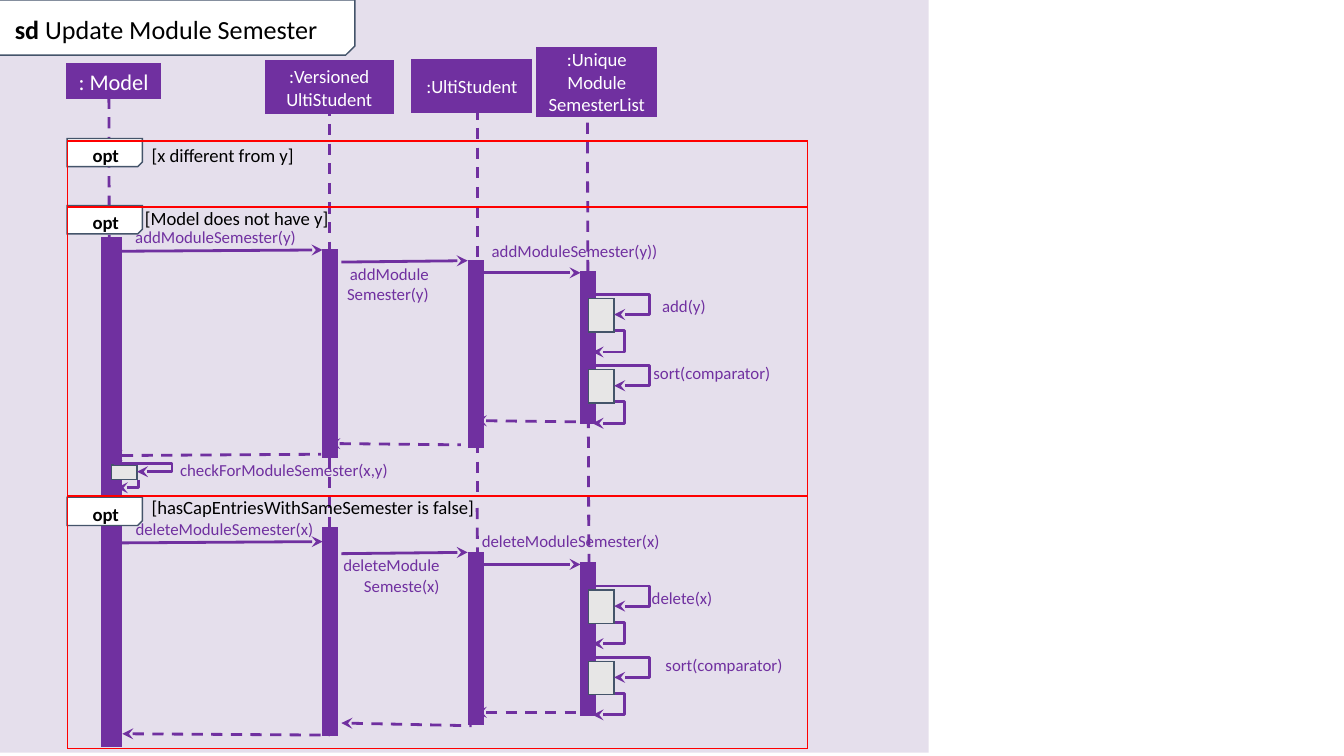
from dataclasses import dataclass

from lxml import etree
from pptx import Presentation
from pptx.dml.color import RGBColor
from pptx.enum.dml import MSO_LINE
from pptx.enum.shapes import MSO_CONNECTOR, MSO_SHAPE
from pptx.enum.text import MSO_ANCHOR, MSO_AUTO_SIZE, PP_ALIGN
from pptx.oxml.ns import qn
from pptx.util import Inches, Pt

RECT, SNIP = MSO_SHAPE.RECTANGLE, MSO_SHAPE.SNIP_1_RECTANGLE
STRAIGHT, ELBOW = MSO_CONNECTOR.STRAIGHT, MSO_CONNECTOR.ELBOW
DASH, NO_FIT = MSO_LINE.DASH, MSO_AUTO_SIZE.NONE
LEFT, CENTER, RIGHT = PP_ALIGN.LEFT, PP_ALIGN.CENTER, PP_ALIGN.RIGHT
TOP, MIDDLE = MSO_ANCHOR.TOP, MSO_ANCHOR.MIDDLE


@dataclass(frozen=True)
class Theme:
    font: str = "Calibri"
    purple: str = "7030A0"
    lilac: str = "E5DFEC"
    grey: str = "E7E6E6"
    slate: str = "44546A"
    red: str = "FF0000"
    white: str = "FFFFFF"
    black: str = "000000"
    title: int = 14
    model: int = 12
    body: int = 10
    label: int = 9
    thin: float = 0.75
    thick: float = 1.5


def write(tf, text, size, color, font, bold_lead="", bold=False, align=LEFT,
          anchor=TOP, margins=(0, 0)):
    """Fill a text frame: \\n starts a paragraph, \\v breaks a line."""
    tf.word_wrap, tf.auto_size, tf.vertical_anchor = True, NO_FIT, anchor
    tf.margin_left = tf.margin_right = Inches(margins[0])
    tf.margin_top = tf.margin_bottom = Inches(margins[1])
    for i, para in enumerate(text.split("\n")):
        p = tf.add_paragraph() if i else tf.paragraphs[0]
        p.alignment = align
        runs = [(line, bold) for line in para.split("\v")]
        if bold_lead and not i:
            runs.insert(0, (bold_lead, True))
        for j, (part, heavy) in enumerate(runs):
            if j and not bold_lead:
                p.add_line_break()
            r = p.add_run()
            r.text = part
            r.font.name, r.font.size, r.font.bold = font, Pt(size), heavy
            r.font.color.rgb = RGBColor.from_string(color)


class SequenceDiagram:
    def __init__(self, slide, theme):
        self.s, self.t = slide, theme

    def box(self, x, y, w, h, fill=None, line=None, width=None, kind=RECT):
        sp = self.s.shapes.add_shape(kind, *map(Inches, (x, y, w, h)))
        sp.shadow.inherit = False
        if fill:
            sp.fill.solid()
            sp.fill.fore_color.rgb = RGBColor.from_string(fill)
        else:
            sp.fill.background()
        if line:
            sp.line.color.rgb = RGBColor.from_string(line)
            sp.line.width = Pt(width or self.t.thin)
            ln = sp._element.spPr.find(qn("a:ln"))
            etree.SubElement(ln, qn("a:miter"), lim="800000")
        else:
            sp.line.fill.background()
        return sp

    def title(self, lead, rest):
        sp, t = self.s.shapes.title, self.t
        sp.left, sp.top, sp.width, sp.height = map(Inches, (0.01, 0, 2.63, 0.33))
        write(sp.text_frame, rest, t.title, t.black, t.font, bold_lead=lead,
              margins=(0.1, 0.1))
        # Bring the title in front of its tag
        sp._element.getparent().append(sp._element)

    def text(self, text, x, y, w, h, **fmt):
        sp = self.s.shapes.add_textbox(*map(Inches, (x, y, w, h)))
        write(sp.text_frame, text, font=self.t.font, **fmt)

    def label(self, text, x, y, w, align=RIGHT):
        self.text(text, x, y, w, 0.15, size=self.t.label, color=self.t.purple,
                  align=align)

    def guard(self, text, x, y, w, h=0.33, bold=False):
        self.text(text, x, y, w, h, size=self.t.body, color=self.t.black,
                  bold=bold, margins=(0.1, 0.1))

    def head(self, text, x, y, w, h, size):
        sp = self.box(x, y, w, h, self.t.purple, self.t.purple, self.t.thick)
        write(sp.text_frame, text, size, self.t.white, self.t.font, align=CENTER,
              anchor=MIDDLE, margins=(0.07, 0.04))

    def bar(self, x, y, h, w=0.11):
        self.box(x, y, w, h, self.t.purple, self.t.purple)

    def tag(self, x, y, w, h):
        """Frame tag with its lower right corner cut."""
        sp = self.box(x, y, w, h, self.t.white, self.t.slate, kind=SNIP)
        sp.rotation = 180
        sp._element.spPr.get_or_add_xfrm().set("flipH", "1")

    def opt(self, y):
        self.tag(0.5, y, 0.56, 0.21)
        self.guard("opt", 0.59, y - 0.06, 0.48, bold=True)

    def line(self, x1, y1, x2, y2, dash=False, arrow=None, turn=None):
        """Straight line, or an elbow whose upright runs at x = turn."""
        kind = STRAIGHT if turn is None else ELBOW
        c = self.s.shapes.add_connector(kind, *map(Inches, (x1, y1, x2, y2)))
        c.line.color.rgb = RGBColor.from_string(self.t.purple)
        c.line.width = Pt(self.t.thick)
        if dash:
            c.line.dash_style = DASH
        sp_pr = c._element.spPr
        if arrow:
            etree.SubElement(sp_pr.find(qn("a:ln")), qn(f"a:{arrow}End"), type="stealth")
        if turn is not None:
            adj = round((turn - x1) / (x2 - x1) * 100000)
            av_lst = sp_pr.find(qn("a:prstGeom")).find(qn("a:avLst"))
            etree.SubElement(av_lst, qn("a:gd"), name="adj1", fmla=f"val {adj}")
        etree.SubElement(sp_pr, qn("a:effectLst"))

    def self_call(self, y):
        self.box(4.38, y, 0.19, 0.25, self.t.grey, self.t.slate)
        self.line(4.43, y - 0.03, 4.57, y + 0.12, arrow="tail", turn=4.83)
        self.line(4.58, y + 0.24, 4.41, y + 0.4, arrow="tail", turn=4.65)

    def call_chain(self, dy, bars, returns):
        """Nested calls across the four lifelines, moved down by dy."""
        for x, y, h in bars:
            self.bar(x, y, h)
        for x1, y1, x2, y2 in ((0.87, 1.87, 2.4, 1.86), (2.54, 1.95, 3.48, 1.94),
                               (3.53, 2.03, 4.32, 2.03)):
            self.line(x1, y1 + dy, x2, y2 + dy, arrow="tail")
        for ends in returns:
            self.line(*ends, dash=True, arrow="head")
        for y in (2.22, 2.75):
            self.self_call(y + dy)


def main():
    prs = Presentation()
    prs.slide_width = Inches(10)
    prs.slide_height = prs.slide_width * 9 // 16
    t = Theme()
    d = SequenceDiagram(prs.slides.add_slide(prs.slide_layouts[5]), t)

    # Panel and title tag
    d.box(-0.01, -0.02, 6.92, 5.62, t.lilac)
    d.tag(-0.01, 0, 2.65, 0.41)
    d.title("sd", " Update Module Semester")

    # Lifelines and their heads
    for ends in ((0.81, 0.58, 0.82, 4.72), (2.45, 0.63, 2.45, 4.93),
                 (3.55, 0.66, 3.55, 3.67), (3.55, 3.78, 3.56, 4.98),
                 (4.37, 0.62, 4.38, 3.87), (4.38, 3.83, 4.39, 5.03)):
        d.line(*ends, dash=True)
    d.head(": Model", 0.5, 0.48, 0.69, 0.25, t.model)
    d.head(":Versioned\nUltiStudent", 1.98, 0.46, 0.94, 0.38, t.body)
    d.head(":UltiStudent", 3.07, 0.45, 0.88, 0.38, t.body)
    d.head(":Unique\nModule\nSemesterList", 4, 0.36, 0.88, 0.5, t.body)
    d.bar(0.76, 1.77, 3.78, w=0.14)

    # Add and delete sequences
    d.call_chain(0, ((2.4, 1.86, 1.54), (3.49, 1.94, 1.39), (4.32, 2.02, 1.13)),
                 ((3.54, 3.13, 4.38, 3.14), (2.45, 3.3, 3.43, 3.31),
                  (0.83, 3.39, 2.39, 3.38)))
    d.call_chain(2.17, ((2.4, 3.93, 1.54), (3.49, 4.11, 1.28), (4.32, 4.19, 1.13)),
                 ((3.54, 5.3, 4.38, 5.3), (2.54, 5.38, 3.51, 5.4),
                  (0.91, 5.46, 2.45, 5.47)))

    # Model's check on itself
    d.box(0.83, 3.46, 0.19, 0.11, t.grey, t.slate)
    d.line(0.85, 3.45, 1.02, 3.51, arrow="tail", turn=1.28)
    d.line(1.03, 3.57, 0.87, 3.63, arrow="tail", turn=1.03)

    # Message labels
    for label in (("addModuleSemester(y)", 0.98, 1.69, 1.22),
                  ("addModule\nSemester(y)", 2.41, 1.96, 0.78),
                  ("addModuleSemester(y))", 3.54, 1.79, 1.35),
                  ("add(y)", 4.77, 2.2, 0.48),
                  ("sort(comparator)", 4.68, 2.7, 1.05),
                  ("deleteModuleSemester(x)", 0.98, 3.86, 1.35),
                  ("deleteModule\vSemeste(x)", 2.49, 4.13, 0.78),
                  ("delete(x)", 4.68, 4.37, 0.62),
                  ("sort(comparator)", 4.77, 4.87, 1.05),
                  ("deleteModuleSemester(x)", 3.54, 3.95, 1.41, CENTER),
                  ("checkForModuleSemester(x,y)", 1.34, 3.42, 1.83, LEFT)):
        d.label(*label)

    # Option frames with their guards
    for y in (1.03, 1.53, 3.7):
        d.opt(y)
    d.guard("[x different from y]", 1.03, 0.97, 3.7, 0.25)
    d.guard("[Model does not have y]", 0.98, 1.44, 1.79, 0.38)
    d.guard("[hasCapEntriesWithSameSemester is false]", 1.03, 3.59, 2.77, 0.38)
    for y, h in ((1.54, 2.15), (1.05, 4.52)):
        d.box(0.5, y, 5.51, h, line=t.red)

    prs.save("out.pptx")


if __name__ == "__main__":
    main()
